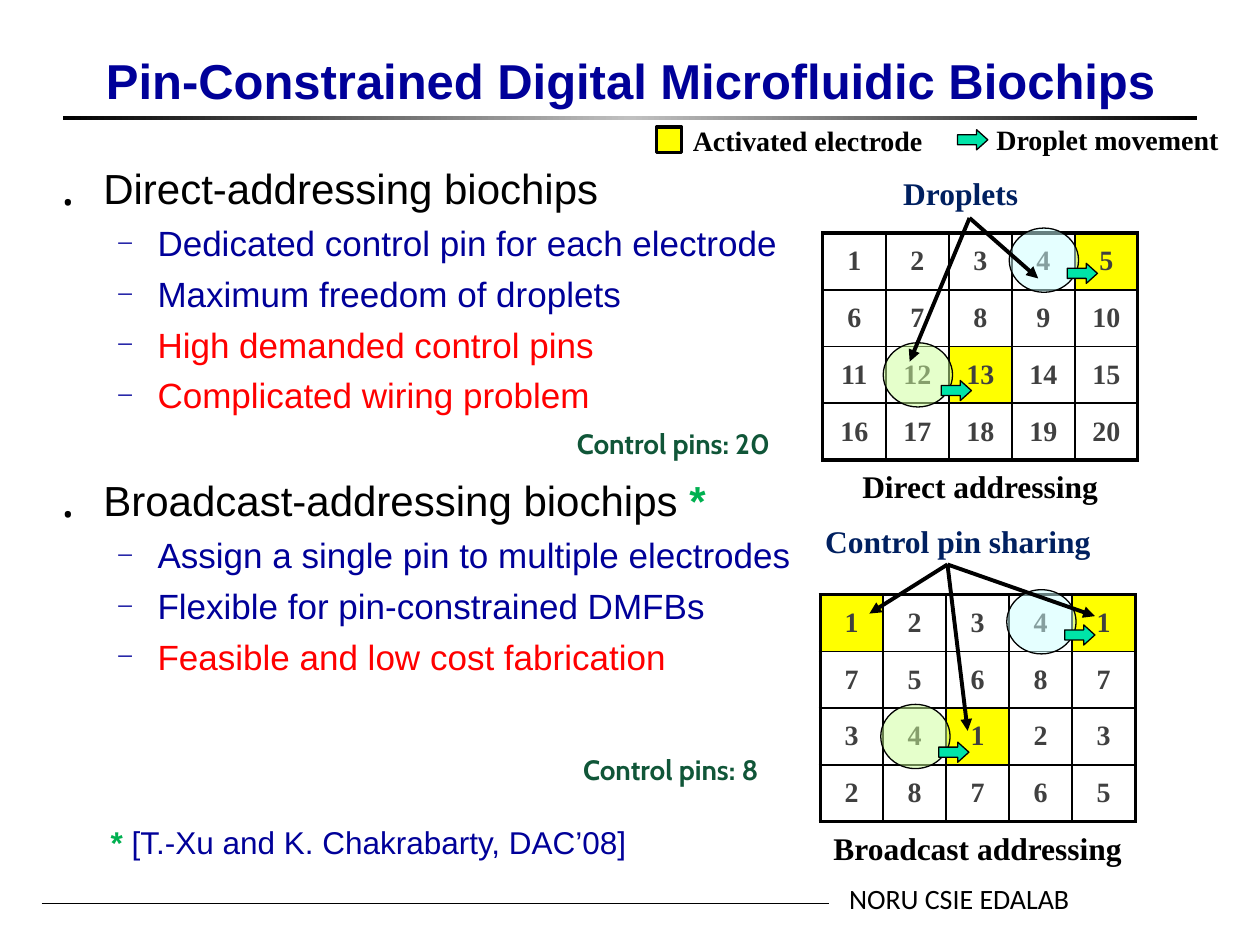
"""Build the slide on direct and broadcast addressing in pin-constrained biochips."""
from copy import deepcopy
from dataclasses import dataclass

from lxml.etree import SubElement
from pptx import Presentation
from pptx.dml.color import RGBColor as Rgb
from pptx.enum.shapes import MSO_CONNECTOR as Connector, MSO_SHAPE as Shape
from pptx.enum.text import MSO_ANCHOR as Anchor, MSO_AUTO_SIZE as AutoSize, PP_ALIGN as Align
from pptx.oxml.ns import qn
from pptx.util import Inches, Pt


@dataclass(frozen=True)
class Theme:
    sans: str = "Arial"
    serif: str = "Times New Roman"
    accent: str = "Cabin"
    footer: str = "Calibri"
    black: str = "000000"
    silver: str = "C0C0C0"
    blue: str = "000099"
    navy: str = "002060"
    red: str = "FF0000"
    star: str = "00B050"
    pins: str = "105638"
    digit: str = "404040"
    active: str = "FFFF00"
    arrow: str = "00E4A8"
    lime: str = "CCFF99"
    cyan: str = "CCFFFF"
    title: int = 28
    topic: int = 24
    point: int = 20
    caption: int = 18
    small: int = 16


theme = Theme()
deck = Presentation()
deck.slide_width, deck.slide_height = Inches(10), Inches(7.5)
page = deck.slides.add_slide(deck.slide_layouts[1])


def add_label(area, text, font, size, color, bold=True, align=Align.LEFT):
    box = page.shapes.add_textbox(*map(Inches, area))
    box.text_frame.word_wrap = True
    para = box.text_frame.paragraphs[0]
    para.text, para.alignment = text, align
    para.font.name, para.font.size, para.font.bold = font, Pt(size), bold
    para.font.color.rgb = Rgb.from_string(color)
    return box


def add_figure(kind, area, color, line_width=0.75):
    figure = page.shapes.add_shape(kind, *map(Inches, area))
    figure.shadow.inherit = False
    figure.fill.solid()
    figure.fill.fore_color.rgb = Rgb.from_string(color)
    figure.line.color.rgb = Rgb.from_string(theme.black)
    figure.line.width = Pt(line_width)
    return figure


title = page.shapes.title
title.left, title.top, title.width, title.height = map(Inches, (0.55, 0, 8.91, 0.92))
title.text_frame.text = "Pin-Constrained Digital Microfluidic Biochips"
title.text_frame.vertical_anchor = Anchor.BOTTOM
title.text_frame.auto_size = AutoSize.NONE
para = title.text_frame.paragraphs[0]
para.alignment = Align.CENTER
para.font.name, para.font.size, para.font.bold = theme.sans, Pt(theme.title), True
para.font.color.rgb = Rgb.from_string(theme.blue)

body = page.placeholders[1]
body.left, body.top, body.width, body.height = map(Inches, (0.34, 1.24, 9.08, 5.81))
body.text_frame.auto_size = AutoSize.NONE
points = [
    (0, "Direct-addressing biochips", theme.black, 5.5),
    (1, "Dedicated control pin for each electrode", theme.blue, 5),
    (1, "Maximum freedom of droplets", theme.blue, 5),
    (1, "High demanded control pins", theme.red, 5),
    (1, "Complicated wiring problem", theme.red, 5),
    (0, "Broadcast-addressing biochips ", theme.black, 33.5),
    (1, "Assign a single pin to multiple electrodes", theme.blue, 5),
    (1, "Flexible for pin-constrained DMFBs", theme.blue, 5),
    (1, "Feasible and low cost fabrication", theme.red, 5),
]
bullets = [
    (0.38, -0.38, theme.topic, theme.black, 120, "․"),
    (0.81, -0.31, theme.point, theme.blue, 55, "─"),
]
for index, (level, text, color, gap) in enumerate(points):
    margin, indent, size, bullet_color, bullet_size, mark = bullets[level]
    para = body.text_frame.paragraphs[0] if index == 0 else body.text_frame.add_paragraph()
    para.text, para.level, para.space_before = text, level, Pt(gap)
    properties = para._p.get_or_add_pPr()
    properties.set("marL", str(Inches(margin)))
    properties.set("indent", str(Inches(indent)))
    SubElement(SubElement(properties, qn("a:buClr")), qn("a:srgbClr"), val=bullet_color)
    SubElement(properties, qn("a:buSzPct"), val=str(bullet_size * 1000))
    SubElement(properties, qn("a:buChar"), char=mark)
    para.font.name, para.font.size = theme.sans, Pt(size)
    para.font.color.rgb = Rgb.from_string(color)
    if text.startswith("Broadcast"):
        span = para.add_run()
        span.text, span.font.bold = "*", True
        span.font.color.rgb = Rgb.from_string(theme.star)

rule = add_figure(Shape.RECTANGLE, (0.5, 0.92, 9, 0.03), theme.black)
rule.line.fill.background()
rule.fill.gradient()
rule.fill.gradient_angle = 0
stops = rule.fill.gradient_stops
for stop, position in zip(stops, (0, 1)):
    stop.color.rgb, stop.position = Rgb.from_string(theme.black), position
first_stop = stops[0]._gs
middle_stop = deepcopy(first_stop)
middle_stop.set("pos", "50000")
middle_stop[0].set("val", theme.silver)
first_stop.addnext(middle_stop)

add_label((6.64, 6.95, 2.19, 0.37), "NORU CSIE EDALAB", theme.footer, theme.small, theme.black, False)
add_label((4.48, 3.34, 2.03, 0.37), "Control pins: 20", theme.accent, theme.small, theme.pins)
add_label((4.53, 5.92, 2.03, 0.37), "Control pins: 8", theme.accent, theme.small, theme.pins)
citation = add_label((0.78, 6.48, 5, 0.4), "* ", theme.sans, theme.caption, theme.star)
span = citation.text_frame.paragraphs[0].add_run()
span.text, span.font.bold = "[T.-Xu and K. Chakrabarty, DAC’08]", False
span.font.color.rgb = Rgb.from_string(theme.blue)

add_label((5.4, 0.93, 2.66, 0.37), "Activated electrode", theme.serif, theme.small, theme.black)
add_figure(Shape.RECTANGLE, (5.21, 1.01, 0.2, 0.2), theme.active, 2)
add_label((7.81, 0.92, 2.19, 0.37), "Droplet movement", theme.serif, theme.small, theme.black)
droplets = add_label((7.07, 1.33, 1.25, 0.4), "Droplets", theme.serif, theme.caption, theme.navy)
add_label((6.45, 4.09, 2.58, 0.4), "Control pin sharing", theme.serif, theme.caption, theme.navy)

rows, columns = 4, 5
grids = [
    (6.53, 1.85, "Direct addressing", range(1, 21), {(0, 4), (2, 2)}),
    (6.51, 4.72, "Broadcast addressing",
     (1, 2, 3, 4, 1, 7, 5, 6, 8, 7, 3, 4, 1, 2, 3, 2, 8, 7, 6, 5), {(0, 0), (0, 4), (2, 2)}),
]
arrows = [(7.6, 1.03)]
for left, top, caption, pins, active in grids:
    table = page.shapes.add_table(rows, columns, *map(Inches, (left, top, 2.5, 1.8))).table
    table.first_row = table.horz_banding = False
    for index, pin in enumerate(pins):
        row, column = divmod(index, columns)
        cell = table.cell(row, column)
        cell.text, cell.vertical_anchor = str(pin), Anchor.MIDDLE
        para = cell.text_frame.paragraphs[0]
        para.alignment, para.space_before = Align.CENTER, Pt(3)
        para.font.name, para.font.size, para.font.bold = theme.serif, Pt(theme.small), True
        para.font.color.rgb = Rgb.from_string(theme.digit)
        outer_sides = {"L": column == 0, "R": column == columns - 1, "T": row == 0, "B": row == rows - 1}
        for side, outer in outer_sides.items():
            border = SubElement(cell._tc.get_or_add_tcPr(), qn(f"a:ln{side}"), w=str(Pt(2.25 if outer else 1)))
            SubElement(SubElement(border, qn("a:solidFill")), qn("a:srgbClr"), val=theme.black)
        if (row, column) in active:
            cell.fill.solid()
            cell.fill.fore_color.rgb = Rgb.from_string(theme.active)
        else:
            cell.fill.background()
    for across, down, color in ((0.48, 0.87, theme.lime), (1.48, -0.04, theme.cyan)):
        droplet = add_figure(Shape.OVAL, (left + across, top + down, 0.55, 0.51), color)
        fill_color = droplet._element.spPr.find(f"{qn('a:solidFill')}/{qn('a:srgbClr')}")
        SubElement(fill_color, qn("a:alpha"), val="50000")
    arrows += [(left + 1.94, top + 0.24), (left + 0.94, top + 1.17)]
    add_label((left, top + 1.81, 2.5, 0.4), caption, theme.serif, theme.caption, theme.black, align=Align.CENTER)

for left, top in arrows:
    arrow = add_figure(Shape.RIGHT_ARROW, (left, top, 0.24, 0.16), theme.arrow)
    arrow.adjustments[0], arrow.adjustments[1] = 0.5, 0.555

lines = [
    ((0.33, 7.17), (6.58, 7.17), 0.5, None),
    ((7.69, 1.73), (7.22, 2.87), 2.25, droplets),
    ((7.69, 1.73), (8.24, 2.21), 2.25, droplets),
    ((7.52, 4.48), (8.69, 4.89), 2.25, None),
    ((7.52, 4.48), (7.68, 5.8), 2.25, None),
    ((7.52, 4.48), (6.9, 4.87), 2.25, None),
]
for start, end, width, source in lines:
    line = page.shapes.add_connector(Connector.STRAIGHT, *map(Inches, start + end))
    line.line.color.rgb, line.line.width = Rgb.from_string(theme.black), Pt(width)
    if source:
        line.begin_connect(source, 2)
    if width > 1:
        SubElement(line.line._get_or_add_ln(), qn("a:tailEnd"), type="triangle")
    SubElement(line._element.spPr, qn("a:effectLst"))

deck.save("out.pptx")
